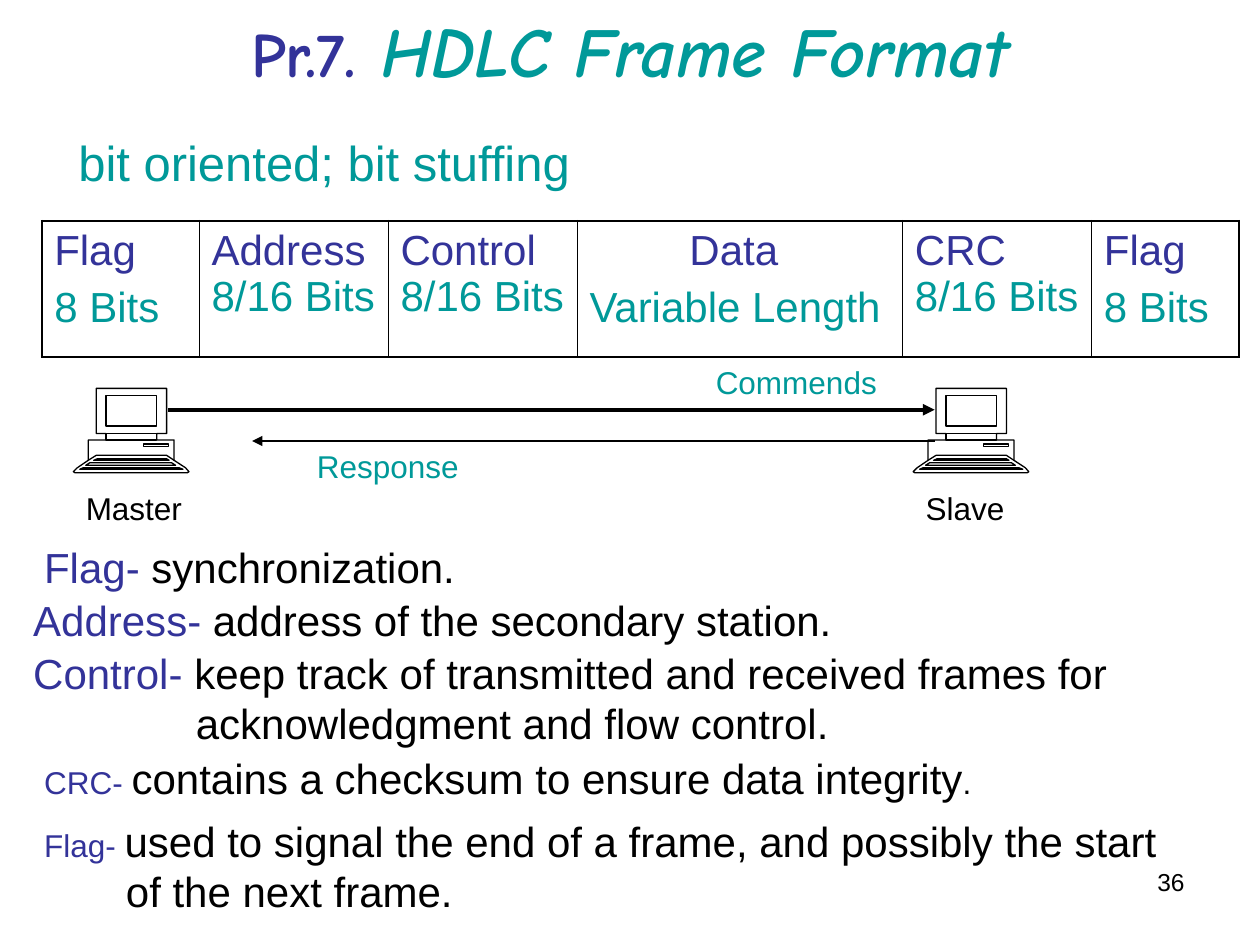
from dataclasses import dataclass

import pptx
import pptx.dml.color
import pptx.enum.shapes
import pptx.enum.text
import pptx.oxml
import pptx.oxml.ns
import pptx.util
from pptx.util import Cm

ALIGN = pptx.enum.text.PP_ALIGN
ANCHOR = pptx.enum.text.MSO_ANCHOR


@dataclass(frozen=True)
class Theme:
    navy: str = "333399"
    teal: str = "009999"
    black: str = "000000"
    body_font: str = "Arial"
    title_font: str = "Comic Neue"
    title: int = 40
    prefix: int = 36
    title_end: int = 44
    subtitle: int = 28
    body: int = 24
    label: int = 18
    number: int = 14


theme = Theme()


def add_runs(paragraph, *parts):
    """Append (text, size, colour) parts to a paragraph and return the runs."""
    runs = []
    for text, size, colour in parts:
        run = paragraph.add_run()
        run.text = text
        run.font.name = theme.body_font
        run.font.size = pptx.util.Pt(size)
        run.font.color.rgb = pptx.dml.color.RGBColor.from_string(colour)
        runs.append(run)
    return runs


def add_text(left, top, width, height, *parts, wrap=True):
    """Add a text box, measured in centimetres, with one paragraph."""
    frame = slide.shapes.add_textbox(Cm(left), Cm(top), Cm(width), Cm(height)).text_frame
    frame.word_wrap = wrap
    return frame, add_runs(frame.paragraphs[0], *parts)


presentation = pptx.Presentation()
presentation.slide_width = Cm(25.4)
presentation.slide_height = Cm(19.05)
slide = presentation.slides.add_slide(presentation.slide_layouts[6])

# Title and subtitle
heading, title_runs = add_text(
    1.48, 0, 22.86, 1.9,
    ("Pr.7.", theme.prefix, theme.navy),
    (" ", theme.title, theme.teal),
    ("HDLC Frame Format", theme.title, theme.teal),
    (" ", theme.title_end, theme.black),
)
heading.vertical_anchor = ANCHOR.MIDDLE
heading.paragraphs[0].alignment = ALIGN.CENTER
for run in title_runs[:3]:
    run.font.name = theme.title_font
    run.font.bold = True
title_runs[2].font.italic = True

subtitle, _ = add_text(1.33, 2.54, 14.1, 1.45,
                       ("bit oriented; bit stuffing", theme.subtitle, theme.teal))
subtitle.vertical_anchor = ANCHOR.MIDDLE

# Frame layout: field, length, column width, length on its own paragraph
fields = [
    ("Flag", "8 Bits", 3.17, True),
    ("Address ", "8/16 Bits", 3.81, False),
    ("Control ", "8/16 Bits", 3.81, False),
    ("Data ", "Variable Length", 6.56, True),
    ("CRC ", "8/16 Bits", 3.81, False),
    ("Flag", "8 Bits", 2.97, True),
]
frame_table = slide.shapes.add_table(
    1, len(fields), Cm(0.84), Cm(4.45), Cm(sum(field[2] for field in fields)), Cm(2.75)
).table
frame_table.first_row = False
frame_table.horz_banding = False
last = len(fields) - 1
for index, (field, length, width, separate) in enumerate(fields):
    frame_table.columns[index].width = Cm(width)
    cell = frame_table.cell(0, index)
    cell.fill.background()
    first = cell.text_frame.paragraphs[0]
    add_runs(first, (field, theme.body, theme.navy))
    second = cell.text_frame.add_paragraph() if separate else first
    add_runs(second, (length, theme.body, theme.teal))
    for paragraph in (first, second):
        paragraph.space_before = pptx.util.Pt(6)
    if field == "Data ":
        first.alignment = ALIGN.CENTER

    outer, inner = 1.08, 0.45
    borders = {
        "lnL": outer if index == 0 else inner,
        "lnR": outer if index == last else inner,
        "lnT": outer,
        "lnB": outer,
    }
    properties = cell._tc.get_or_add_tcPr()
    for position, (side, weight) in enumerate(borders.items()):
        properties.insert(position, pptx.oxml.parse_xml(
            f'<a:{side} {pptx.oxml.ns.nsdecls("a")} w="{pptx.util.Pt(weight)}">'
            f'<a:solidFill><a:srgbClr val="{theme.black}"/></a:solidFill></a:{side}>'
        ))

# Computers, drawn in hundredths of a centimetre: (points, closed)
case = [(226, 160), (203, 145), (203, 104), (168, 104), (168, 91), (188, 91),
        (188, 0), (46, 0), (46, 91), (66, 91), (66, 104), (30, 104), (30, 145),
        (8, 160), (0, 168), (3, 170), (230, 170), (233, 168)]
contours = [(case, True), ([(203, 145), (188, 135), (46, 135), (30, 145)], False)]
for bottom_left, bottom_right, top_left, top_right, bottom, top in [
    (41, 193, 48, 188, 145, 142),
    (25, 206, 33, 198, 155, 150),
    (13, 221, 20, 213, 163, 160),
]:
    contours.append(([(bottom_right, bottom), (top_right, top),
                      (top_left, top), (bottom_left, bottom)], True))
for left, top, right, bottom in [
    (142, 112, 192, 117), (66, 15, 168, 76), (66, 91, 168, 104),
]:
    contours.append(([(left, top), (right, top), (right, bottom), (left, bottom)], True))

for station, left in [("Master", 1.48), ("Slave", 18.41)]:
    outline = slide.shapes.build_freeform(*case[0], scale=float(Cm(0.01)))
    for points, closed in contours:
        if points is not case:
            outline.move_to(*points[0])
        outline.add_line_segments(points[1:], close=closed)
    computer = outline.convert_to_shape(Cm(left), Cm(7.83))
    computer.shadow.inherit = False
    computer.fill.background()
    computer.line.color.rgb = pptx.dml.color.RGBColor.from_string(theme.black)
    computer.line.width = pptx.util.Pt(0.75)
    add_text(left, 9.74, 2.54, 1.02, (station, theme.label, theme.black))

# Messages between the stations
for message, start, end, height, weight, text_left, text_top in [
    ("Commends", 3.39, 18.84, 8.26, 2.25, 14.18, 7.2),
    ("Response", 18.84, 5.08, 8.89, 0.75, 6.14, 8.89),
]:
    arrow = slide.shapes.add_connector(
        pptx.enum.shapes.MSO_CONNECTOR.STRAIGHT, Cm(start), Cm(height), Cm(end), Cm(height))
    arrow.line.color.rgb = pptx.dml.color.RGBColor.from_string(theme.black)
    arrow.line.width = pptx.util.Pt(weight)
    namespace = pptx.oxml.ns.nsdecls("a")
    arrow.line._get_or_add_ln().append(
        pptx.oxml.parse_xml(f'<a:tailEnd {namespace} type="triangle"/>'))
    arrow._element.spPr.append(pptx.oxml.parse_xml(f"<a:effectLst {namespace}/>"))
    add_text(text_left, text_top, 3.81, 1.02, (message, theme.label, theme.teal))

# Field meanings: left, top, width, term, term size, meaning, second line, its indent
meanings = [
    (0.64, 10.8, 8.97, "Flag- ", theme.body, "synchronization.", "", 0),
    (0.42, 11.86, 16.76, "Address- ", theme.body, "address of the secondary station.", "", 0),
    (0.42, 12.93, 22.38, "Control- ", theme.body,
     "keep track of transmitted and received frames for",
     "acknowledgment and flow control.", 3.28),
    (0.64, 15.04, 19.38, "CRC- ", theme.label,
     "contains a checksum to ensure data integrity", "", 0),
    (0.64, 16.31, 23.16, "Flag- ", theme.label,
     "used to signal the end of a frame, and possibly the start",
     "of the next frame.", 1.65),
]
for left, top, width, term, size, meaning, continuation, indent in meanings:
    frame, _ = add_text(left, top, width, 2.29 if continuation else 1.27,
                        (term, size, theme.navy),
                        (meaning, theme.body, theme.black), wrap=False)
    if term == "CRC- ":
        add_runs(frame.paragraphs[0], (".", theme.label, theme.black))
    if continuation:
        paragraph = frame.add_paragraph()
        add_runs(paragraph, (continuation, theme.body, theme.black))
        paragraph._p.get_or_add_pPr().set("marL", str(Cm(indent)))

page, _ = add_text(18.2, 17.36, 5.93, 1.32, ("36", theme.number, theme.black))
page.paragraphs[0].alignment = ALIGN.RIGHT

presentation.save("out.pptx")
